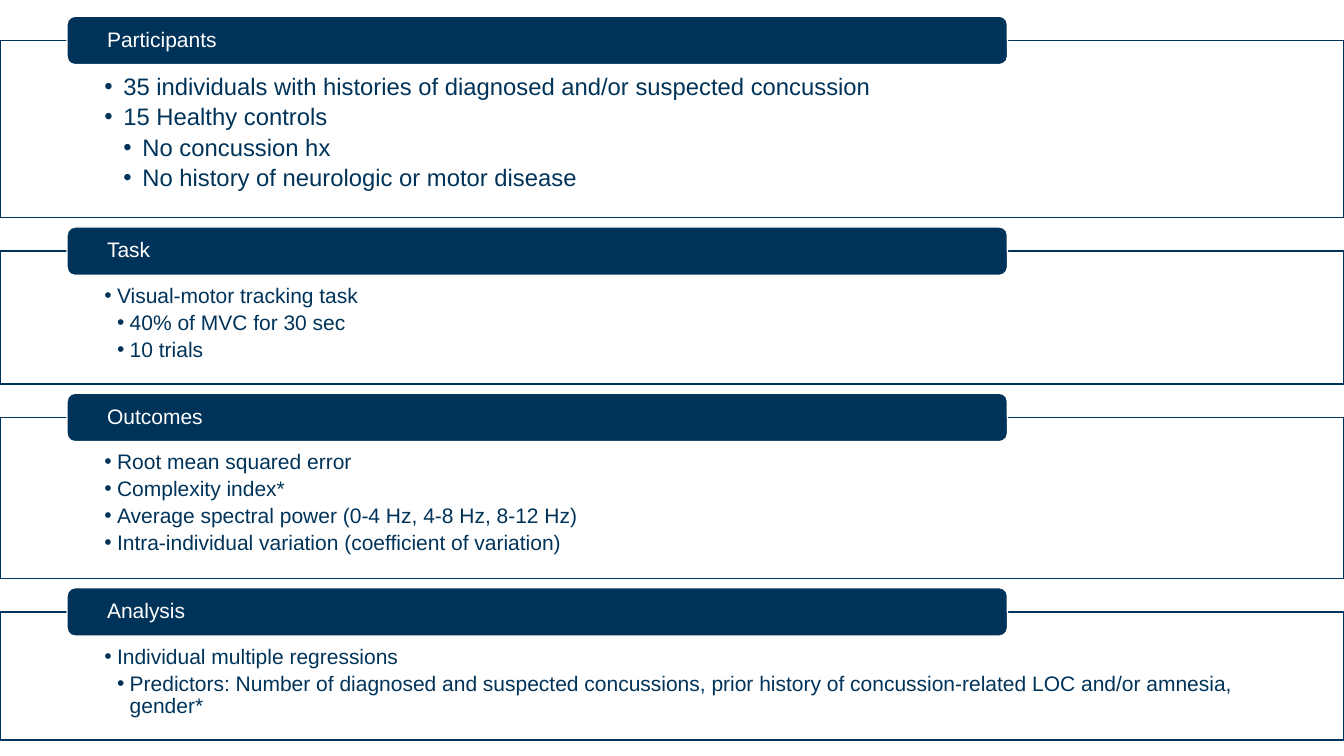
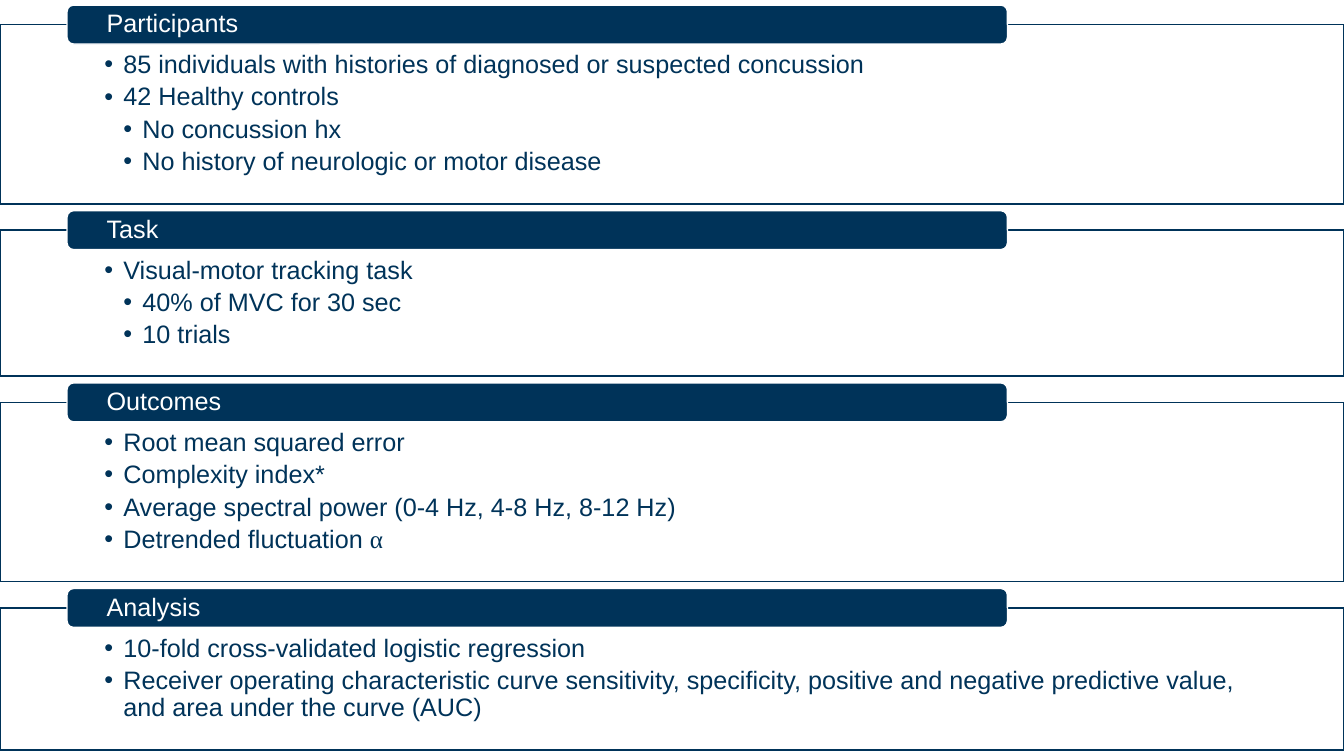
from dataclasses import dataclass

from pptx import Presentation
from pptx.dml.color import RGBColor
from pptx.enum.shapes import MSO_SHAPE
from pptx.enum.text import MSO_ANCHOR, PP_ALIGN
from pptx.oxml.xmlchemy import OxmlElement
from pptx.util import Cm, Pt

SLIDE_WIDTH = 33.87
SLIDE_HEIGHT = 19.05


@dataclass(frozen=True)
class Theme:
    navy: RGBColor = RGBColor(0x00, 0x33, 0x59)
    white: RGBColor = RGBColor(0xFF, 0xFF, 0xFF)
    font: str = "Arial"
    symbol_font: str = "Times New Roman"
    small: int = 15
    medium: int = 17
    large: int = 18
    line_width: float = 1
    line_spacing: float = 0.9
    space_after: float = 0.2
    panel_opacity: int = 90000
    header_left: float = 1.69
    header_width: float = 23.7
    header_inset: float = 0.95
    panel_inset: float = 2.63


@dataclass(frozen=True)
class Stack:
    top: float
    gap: float
    header_height: float
    header_size: int
    text_top: float


@dataclass(frozen=True)
class Section:
    title: str
    height: float
    size: int
    indent: float
    bullets: list


class MethodsDeck:
    def __init__(self, theme):
        self.theme = theme
        self.deck = Presentation()
        self.deck.slide_width = Cm(SLIDE_WIDTH)
        self.deck.slide_height = Cm(SLIDE_HEIGHT)
        self.page = None

    def add_page(self, stack, sections):
        self.page = self.deck.slides.add_slide(self.deck.slide_layouts[6])
        top = stack.top
        for section in sections:
            self.add_panel(section, top, stack.text_top)
            self.add_header(section.title, top, stack)
            top += section.height + stack.gap

    def add_box(self, preset, position, fill, line, inset, text_top=0):
        box = self.page.shapes.add_shape(preset, *(Cm(length) for length in position))
        box.shadow.inherit = False
        box.fill.solid()
        box.fill.fore_color.rgb = fill
        box.line.color.rgb = line
        box.line.width = Pt(self.theme.line_width)
        frame = box.text_frame
        frame.word_wrap = True
        frame.margin_left = frame.margin_right = Cm(inset)
        frame.margin_top = Cm(text_top)
        frame.margin_bottom = 0
        return box

    def add_panel(self, section, top, text_top):
        theme = self.theme
        box = self.add_box(
            MSO_SHAPE.RECTANGLE, (0, top, SLIDE_WIDTH, section.height),
            theme.white, theme.navy, theme.panel_inset, text_top,
        )
        alpha = OxmlElement("a:alpha")
        alpha.set("val", str(theme.panel_opacity))
        box.fill._xPr.find(".//{*}solidFill/{*}srgbClr").append(alpha)
        frame = box.text_frame
        frame.vertical_anchor = MSO_ANCHOR.TOP
        for index, (level, *spans) in enumerate(section.bullets):
            para = frame.add_paragraph() if index else frame.paragraphs[0]
            self.add_bullet(para, level, section.indent)
            para.space_after = Pt(section.size * theme.space_after)
            self.add_spans(para, spans, section.size, theme.navy)

    def add_header(self, title, panel_top, stack):
        theme = self.theme
        top = panel_top - stack.header_height / 2
        box = self.add_box(
            MSO_SHAPE.ROUNDED_RECTANGLE,
            (theme.header_left, top, theme.header_width, stack.header_height),
            theme.navy, theme.white, theme.header_inset,
        )
        box.text_frame.vertical_anchor = MSO_ANCHOR.MIDDLE
        self.add_spans(box.text_frame.paragraphs[0], [title], stack.header_size, theme.white)

    def add_bullet(self, para, level, indent):
        para.level = level - 1
        properties = para._p.get_or_add_pPr()
        properties.set("marL", str(Cm(indent * level)))
        properties.set("indent", str(-Cm(indent)))
        for tag, name, value in (
            ("a:buFont", "typeface", self.theme.font),
            ("a:buChar", "char", "•"),
        ):
            element = OxmlElement(tag)
            element.set(name, value)
            properties.append(element)

    def add_spans(self, para, spans, size, color):
        para.alignment = PP_ALIGN.LEFT
        para.line_spacing = self.theme.line_spacing
        for text in spans:
            span = para.add_run()
            span.text = text
            span.font.name = self.theme.symbol_font if text == "α" else self.theme.font
            span.font.size = Pt(size)
            span.font.color.rgb = color

    def save(self):
        self.deck.save("out.pptx")


def main():
    theme = Theme()
    small = (theme.small, 0.32)
    medium = (theme.medium, 0.48)
    large = (theme.large, 0.48)
    control_criteria = [
        (2, "No concussion hx"),
        (2, "No history of neurologic or motor disease"),
    ]
    task = [
        (1, "Visual-motor tracking task"),
        (2, "40% of MVC for 30 sec"),
        (2, "10 trials"),
    ]
    shared_outcomes = [
        (1, "Root mean squared error"),
        (1, "Complexity index*"),
        (1, "Average spectral power (0-4 Hz, 4-8 Hz, 8-12 Hz)"),
    ]

    methods = MethodsDeck(theme)
    methods.add_page(Stack(1.02, 0.84, 1.22, theme.small, 0.86), [
        Section("Participants", 4.47, *medium, [
            (1, "35 individuals with histories of diagnosed and/or suspected concussion"),
            (1, "15 Healthy controls"),
            *control_criteria,
        ]),
        Section("Task", 3.35, *small, task),
        Section("Outcomes", 4.06, *small, [
            *shared_outcomes,
            (1, "Intra-individual variation (coefficient of variation)"),
        ]),
        Section("Analysis", 3.23, *small, [
            (1, "Individual multiple regressions"),
            (2, "Predictors: Number of diagnosed and suspected concussions, prior history "
                "of concussion-related LOC and/or amnesia, gender*"),
        ]),
    ])
    methods.add_page(Stack(0.62, 0.66, 0.98, theme.large, 0.69), [
        Section("Participants", 4.52, *large, [
            (1, "85 individuals with histories of diagnosed or suspected concussion"),
            (1, "42 Healthy controls"),
            *control_criteria,
        ]),
        Section("Task", 3.68, *large, task),
        Section("Outcomes", 4.52, *large, [
            *shared_outcomes,
            (1, "Detrended fluctuation ", "α"),
        ]),
        Section("Analysis", 3.58, *large, [
            (1, "10-fold cross-validated logistic regression"),
            (1, "Receiver operating characteristic curve sensitivity, specificity, positive "
                "and negative predictive value, and area under the curve (AUC)"),
        ]),
    ])
    methods.save()


if __name__ == "__main__":
    main()
